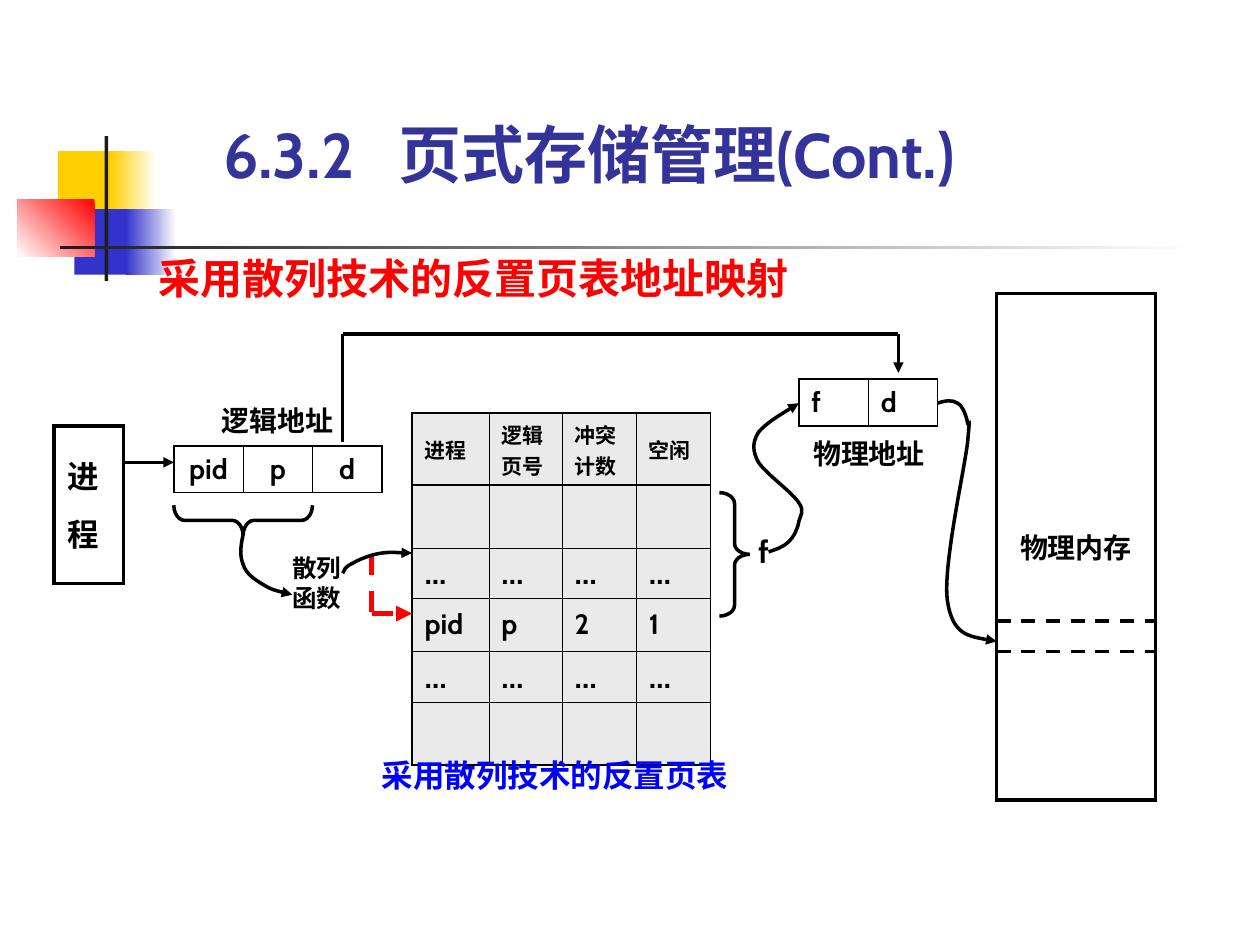
from dataclasses import dataclass

from lxml import etree
from pptx import Presentation
from pptx import util as u
from pptx.dml.color import RGBColor
from pptx.enum import dml, shapes, text
from pptx.oxml.ns import qn

Inches, Pt = u.Inches, u.Pt
KIND, ALIGN, ANCHOR = shapes.MSO_SHAPE, text.PP_ALIGN, text.MSO_ANCHOR


@dataclass(frozen=True)
class Theme:
    font: str = "Cabin"
    black: str = "000000"
    white: str = "FFFFFF"
    red: str = "FF0000"
    blue: str = "0000FF"
    title: str = "333399"
    gold: str = "FFCF01"
    navy: str = "3333CC"
    ink: str = "1C1C1C"
    gray: str = "EAEAEA"
    huge: int = 36
    head: int = 24
    large: int = 18
    body: int = 16
    note: int = 14
    small: int = 12
    line: float = 2
    bold: float = 3
    thick: float = 1.08
    thin: float = 0.45


T = Theme()


def rgb(code):
    return RGBColor.from_string(code)


def write(frame, words, size, color=T.black, align=ALIGN.LEFT, gap=0):
    """Put words in a frame, with a gap between paragraphs."""
    frame.text = words
    for n, par in enumerate(frame.paragraphs):
        par.alignment = align
        if n and gap:
            par.space_before = Pt(gap)
        for run in par.runs:
            run.font.name, run.font.size, run.font.bold = T.font, Pt(size), True
            run.font.color.rgb = rgb(color)


def inset(frame, left=0, top=0, right=0, low=0):
    frame.margin_left, frame.margin_top = Inches(left), Inches(top)
    frame.margin_right, frame.margin_bottom = Inches(right), Inches(low)


def label(slide, area, words, size, color=T.black, align=ALIGN.LEFT,
          anchor=ANCHOR.TOP, pad=(0, 0, 0, 0)):
    frame = slide.shapes.add_textbox(*map(Inches, area)).text_frame
    frame.word_wrap, frame.vertical_anchor = True, anchor
    inset(frame, *pad)
    write(frame, words, size, color, align)
    return frame.paragraphs[0]


def stroke(line, color=T.black, width=T.line, dash=False, arrow=False):
    line.color.rgb, line.width = rgb(color), Pt(width)
    if dash:
        line.dash_style = dml.MSO_LINE.DASH
    etree.SubElement(line._get_or_add_ln(), qn("a:miter"), lim="800000")
    if arrow:
        etree.SubElement(line._get_or_add_ln(), qn("a:tailEnd"), type="triangle")


def shape(slide, kind, area):
    """Add an unfilled preset shape without outline."""
    item = slide.shapes.add_shape(kind, *map(Inches, area))
    item.shadow.inherit = False
    item.fill.background()
    item.line.fill.background()
    return item


def block(slide, area, *colors, angle=180):
    """Add a plain or two-colour block."""
    item = shape(slide, KIND.RECTANGLE, area)
    if len(colors) == 1:
        item.fill.solid()
        item.fill.fore_color.rgb = rgb(colors[0])
        return
    item.fill.gradient()
    item.fill.gradient_angle = angle
    for stop, color in zip(item.fill.gradient_stops, colors):
        stop.color.rgb = rgb(color)


def frame_box(slide, area):
    """Add an outlined box and give its text frame."""
    item = shape(slide, KIND.RECTANGLE, area)
    stroke(item.line)
    return item.text_frame


def brace(slide, kind, area, turn=0):
    item = shape(slide, kind, area)
    stroke(item.line)
    item.adjustments[0] = 0.36
    item.rotation = turn


def link(slide, start, end, **look):
    ends = map(Inches, (*start, *end))
    item = slide.shapes.add_connector(shapes.MSO_CONNECTOR.STRAIGHT, *ends)
    stroke(item.line, **look)
    etree.SubElement(item._element.spPr, qn("a:effectLst"))


def curve(slide, knots):
    """Draw an arrow along cubic curves: a start, then three points for each."""
    spots = [tuple(map(Inches, knot)) for knot in knots]
    pen = slide.shapes.build_freeform(*spots[0])
    pen.add_line_segments(spots[1:], close=False)
    item = pen.convert_to_shape()
    item.shadow.inherit = False
    item.fill.background()
    stroke(item.line, arrow=True)
    # Join each three line steps into one cubic step
    steps = list(item._element.iter(qn("a:lnTo")))
    track = steps[0].getparent()
    for n in range(0, len(steps), 3):
        cubic = etree.SubElement(track, qn("a:cubicBezTo"))
        for step in steps[n:n + 3]:
            cubic.append(step[0])
            track.remove(step)


def border(cell, **sides):
    """Set cell edges in points; zero leaves an edge clear."""
    props = cell._tc.get_or_add_tcPr()
    for side in "LRTB":
        width = sides[side]
        edge = etree.SubElement(props, qn("a:ln" + side), w=str(Pt(width)))
        if width:
            fill = etree.SubElement(edge, qn("a:solidFill"))
            etree.SubElement(fill, qn("a:srgbClr"), val=T.black)
        else:
            etree.SubElement(edge, qn("a:noFill"))


def grid(slide, spot, cols, rows, cells, sizes, align=ALIGN.LEFT, fill=None,
         bare=None):
    """Add a table with a thick rule under row one; bare is a merged caption."""
    area = (*spot, sum(cols), sum(rows))
    table = slide.shapes.add_table(len(rows), len(cols), *map(Inches, area)).table
    table.first_row = table.horz_banding = False
    for col, width in zip(table.columns, cols):
        col.width = Inches(width)
    for row, height in zip(table.rows, rows):
        row.height = Inches(height)

    def rule(n):
        return T.thick if n in (0, 1, len(rows)) else T.thin

    for r, words in enumerate(cells):
        for c, word in enumerate(words):
            cell = table.cell(r, c)
            cell.vertical_anchor = ANCHOR.MIDDLE
            if r == bare:
                border(cell, L=0, R=0, T=T.thick if r else 0,
                       B=0 if r else T.thick)
            else:
                border(cell, L=T.thin if c else T.thick,
                       R=T.thin if c < len(cols) - 1 else T.thick,
                       T=rule(r), B=rule(r + 1))
            if fill:
                cell.fill.solid()
                cell.fill.fore_color.rgb = rgb(fill)
            else:
                cell.fill.background()
            if word:
                write(cell.text_frame, word, sizes[r], align=align)
            elif r != bare:
                etree.SubElement(cell.text_frame.paragraphs[0]._p,
                                 qn("a:endParaRPr"), sz=str(sizes[r] * 100))
    if bare is not None:
        table.cell(bare, 0).merge(table.cell(bare, len(cols) - 1))
    return table


def decor(slide):
    block(slide, (0.46, 1.2, 0.48, 0.52), T.gold)
    block(slide, (0.88, 1.2, 0.36, 0.52), T.white, T.gold)
    block(slide, (0.59, 1.66, 0.46, 0.52), T.navy)
    block(slide, (1, 1.66, 0.4, 0.52), T.white, T.navy)
    block(slide, (0.14, 1.58, 0.61, 0.46), T.red, T.white, angle=225)
    block(slide, (0.83, 1.08, 0.03, 1.15), T.ink)
    block(slide, (0.48, 1.95, 9, 0.03), T.white, T.ink)


def main():
    deck = Presentation()
    deck.slide_width, deck.slide_height = Inches(10), Inches(7.5)
    slide = deck.slides.add_slide(deck.slide_layouts[6])
    decor(slide)

    # Headings
    par = label(slide, (1.77, 0.92, 7.09, 0.6), "6.3.2\t页式存储管理(Cont.)",
                T.huge, T.title, anchor=ANCHOR.BOTTOM)
    tabs = etree.SubElement(par._p.get_or_add_pPr(), qn("a:tabLst"))
    etree.SubElement(tabs, qn("a:tab"), pos=str(Inches(1.39)), algn="l")
    par = label(slide, (1.26, 2.05, 5.32, 0.36), "采用散列技术的反置页表地址映射",
                T.head, T.red, anchor=ANCHOR.BOTTOM)
    par.line_spacing = 0.9

    # Address tables and inverted page table
    grid(slide, (1.38, 3.12), [0.55] * 3, [0.42, 0.37],
         [["逻辑地址", "", ""], ["pid", "p", "d"]], [T.body] * 2,
         ALIGN.CENTER, bare=0)
    dots = ["…"] * 4
    grid(slide, (3.27, 3.28), [0.61, 0.58, 0.59, 0.59],
         [0.57, 0.42, 0.4, 0.42, 0.4, 0.42],
         [["进程", "逻辑页号", "冲突计数", "空闲"], [""] * 4, ["..."] + dots[1:],
          ["pid", "p", "2", "1"], dots, [""] * 4],
         [T.small, T.head, T.large, T.body, T.large, T.head], fill=T.gray)
    frames = grid(slide, (6.34, 3.01), [0.55] * 2, [0.37] * 2,
                  [["f", "d"], ["物理地址", ""]], [T.body] * 2, bare=1)
    frames.cell(1, 0).text_frame.paragraphs[0].alignment = ALIGN.RIGHT

    # Process and memory
    frame = frame_box(slide, (0.43, 3.38, 0.55, 1.25))
    inset(frame, 0.1, 0.25, 0.18, 0.25)
    frame.vertical_anchor = ANCHOR.TOP
    write(frame, "进\n程", T.large, align=ALIGN.CENTER, gap=11.2)
    frame = frame_box(slide, (7.91, 2.33, 1.26, 4.02))
    frame.word_wrap, frame.vertical_anchor = False, ANCHOR.MIDDLE
    write(frame, "物理内存", T.body, align=ALIGN.CENTER)
    for y in (4.93, 5.17):
        link(slide, (7.91, y), (9.17, y), dash=True)

    # Labels
    label(slide, (2.32, 4.39, 0.47, 0.47), "散列函数", T.note)
    label(slide, (5.94, 4.22, 0.24, 0.3), "f", T.large, align=ALIGN.CENTER)
    label(slide, (2.87, 5.95, 3.07, 0.4), "采用散列技术的反置页表", T.large, T.blue,
          ALIGN.CENTER, pad=(0.1, 0.05, 0.1, 0.05))

    # Braces
    brace(slide, KIND.LEFT_BRACE, (1.81, 3.58, 0.24, 1.1), turn=270)
    brace(slide, KIND.RIGHT_BRACE, (5.71, 3.91, 0.24, 0.98))

    # Straight links
    link(slide, (0.98, 3.67), (1.38, 3.67), arrow=True)
    link(slide, (2.72, 3.51), (2.72, 2.65))
    link(slide, (2.72, 2.65), (7.13, 2.65))
    link(slide, (7.13, 2.65), (7.13, 2.96), arrow=True)
    probe = dict(color=T.red, width=T.bold, dash=True)
    link(slide, (2.95, 4.4), (2.95, 4.87), **probe)
    link(slide, (2.95, 4.87), (3.27, 4.87), arrow=True, **probe)

    # Curved links: hash input, hash result, frame number, memory access
    curve(slide, [(1.93, 4.24), (1.91, 4.33), (1.9, 4.41), (1.93, 4.48),
                  (1.95, 4.55), (2.02, 4.6), (2.09, 4.64),
                  (2.15, 4.68), (2.24, 4.7), (2.32, 4.72)])
    curve(slide, [(2.72, 4.55), (2.73, 4.52), (2.74, 4.5), (2.8, 4.47),
                  (2.85, 4.44), (2.95, 4.4), (3.03, 4.39),
                  (3.11, 4.38), (3.19, 4.39), (3.27, 4.39)])
    curve(slide, [(6.1, 4.38), (6.16, 4.36), (6.22, 4.34), (6.26, 4.3),
                  (6.3, 4.26), (6.33, 4.2), (6.34, 4.14),
                  (6.35, 4.09), (6.39, 4.06), (6.34, 3.99),
                  (6.29, 3.91), (6.08, 3.76), (6.02, 3.67),
                  (5.97, 3.58), (5.97, 3.51), (6.02, 3.43),
                  (6.08, 3.36), (6.21, 3.28), (6.34, 3.2)])
    curve(slide, [(7.44, 3.2), (7.5, 3.18), (7.56, 3.17), (7.6, 3.2),
                  (7.64, 3.22), (7.67, 3.3), (7.68, 3.36),
                  (7.69, 3.41), (7.7, 3.28), (7.68, 3.51),
                  (7.65, 3.75), (7.48, 4.51), (7.52, 4.77),
                  (7.56, 5.04), (7.74, 5.06), (7.91, 5.09)])

    deck.save("out.pptx")


if __name__ == "__main__":
    main()
